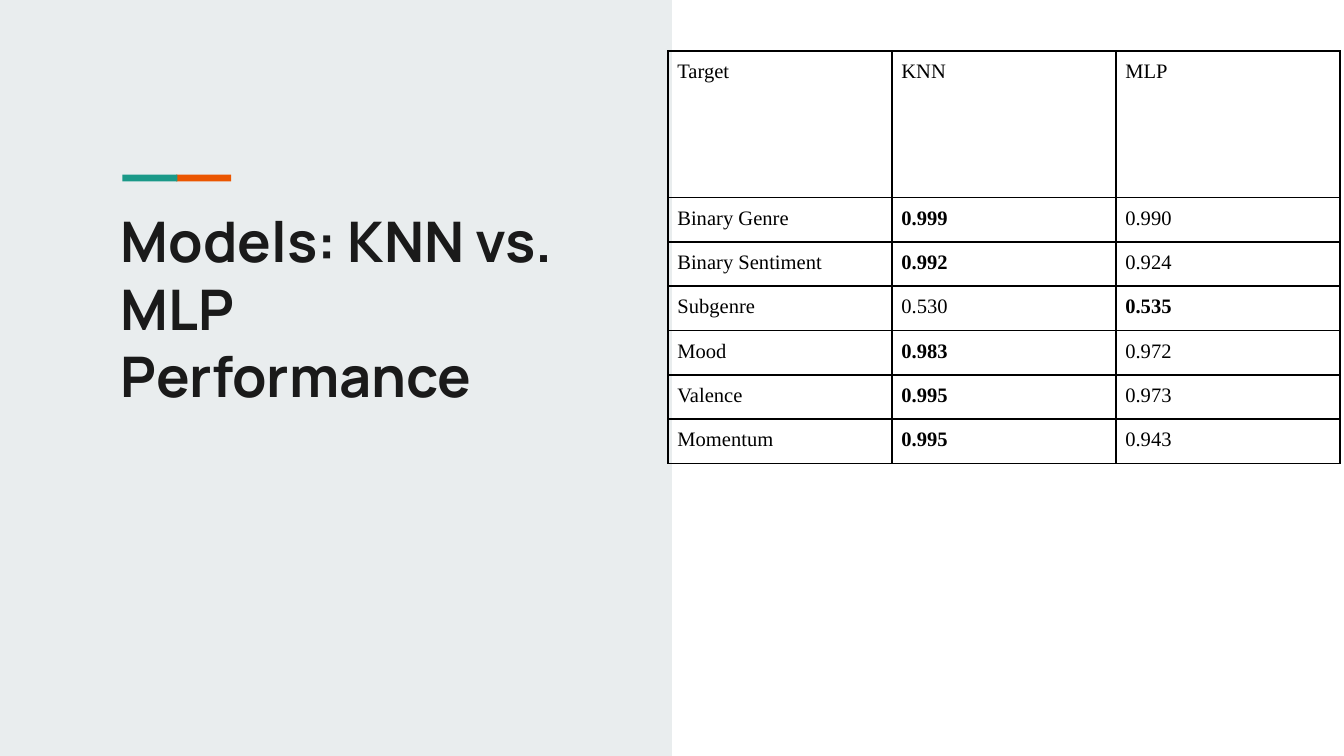
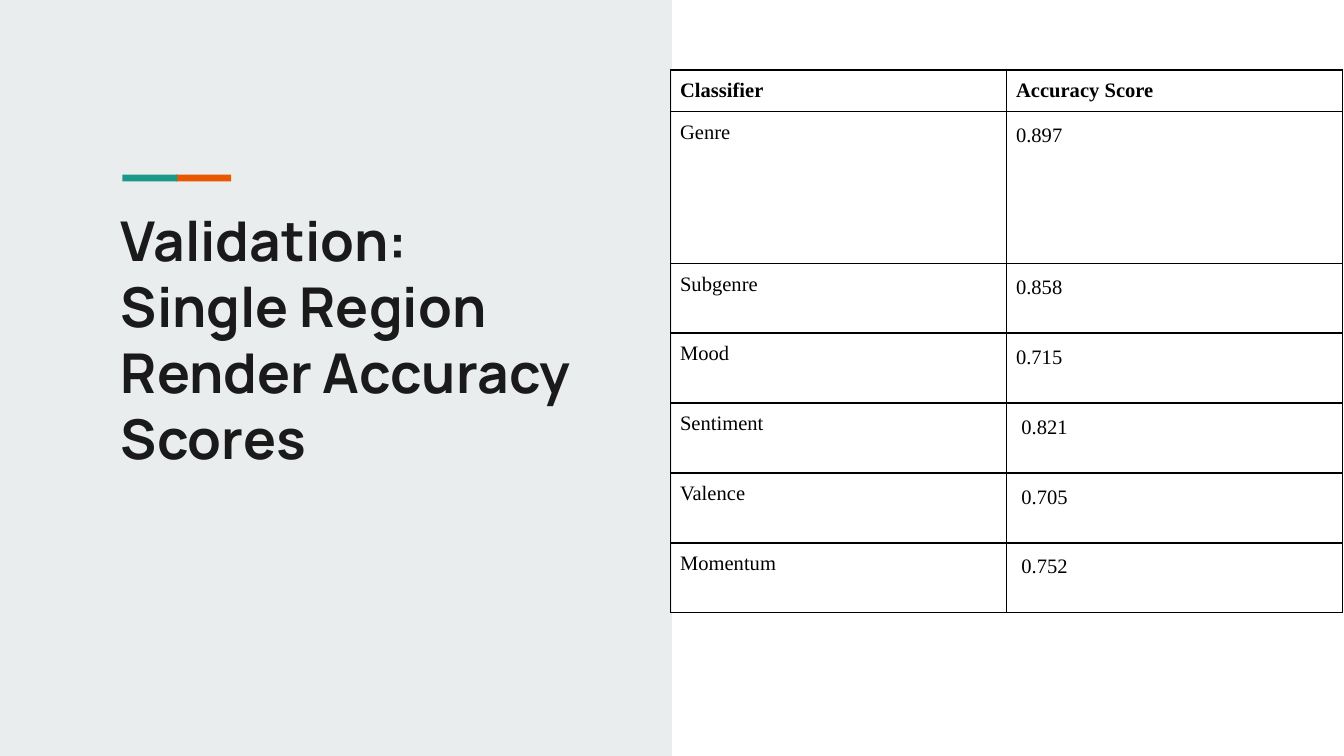
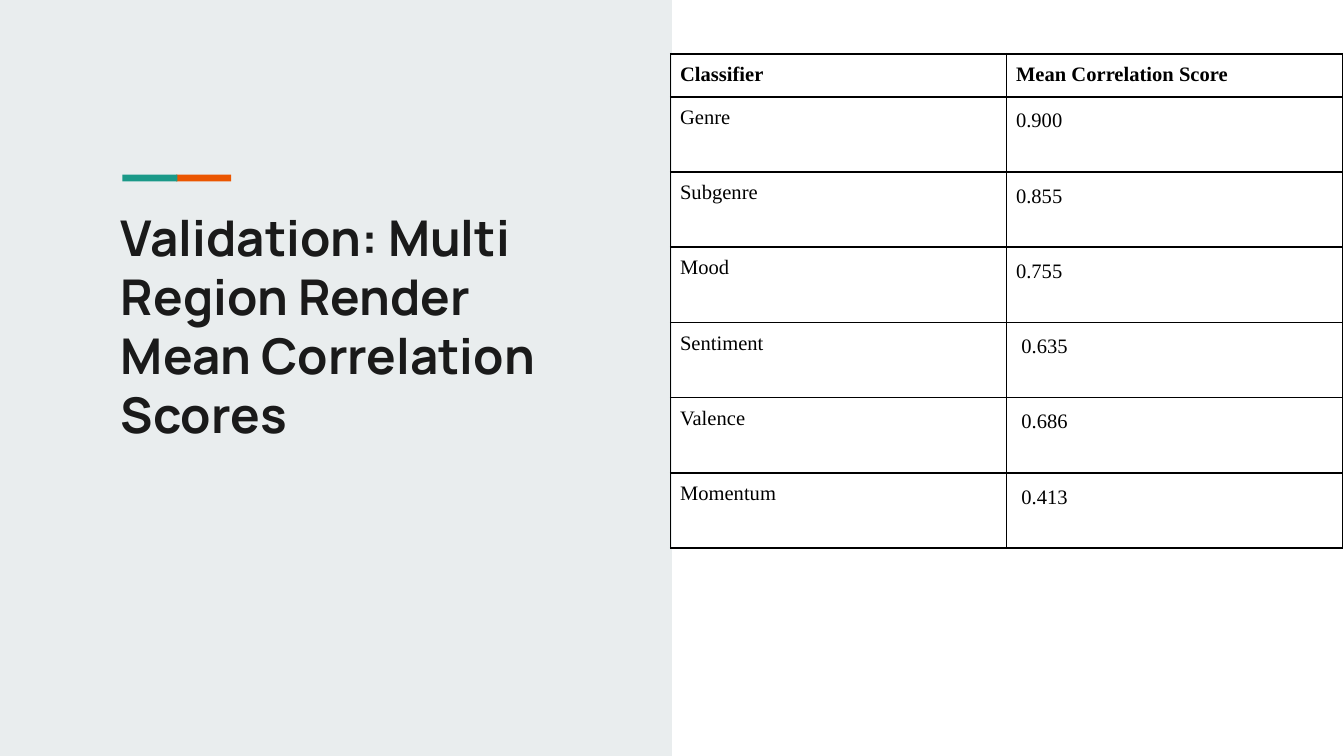
import pptx
import pptx.dml.color
import pptx.enum.shapes
import pptx.enum.text
import pptx.oxml
import pptx.oxml.ns
import pptx.util

Inches, Pt = pptx.util.Inches, pptx.util.Pt
RGBColor = pptx.dml.color.RGBColor
PP_ALIGN = pptx.enum.text.PP_ALIGN
LEFT, JUSTIFY = PP_ALIGN.LEFT, PP_ALIGN.JUSTIFY

PANEL = RGBColor(0xE9, 0xED, 0xEE)
TEAL = RGBColor(0x1A, 0x99, 0x88)
ORANGE = RGBColor(0xEB, 0x56, 0x00)
INK = RGBColor(0x1A, 0x1A, 0x1A)
BLACK = RGBColor(0, 0, 0)

SLIDE_W = 10
SLIDE_H = SLIDE_W * 9 / 16
BACKDROP = [
    (PANEL, (0, 0, SLIDE_W / 2, SLIDE_H)),
    (ORANGE, (1.31, 1.3, 0.41, 0.05)),
    (TEAL, (0.91, 1.3, 0.41, 0.05)),
]
TITLE_BOX = (0.8, 1.44, 3.61, 1.95)
TITLE_FONT = {"name": "Manrope", "bold": True}
CELL_FONT = {"name": "Times New Roman", "size": Pt(11)}
TABLE_WIDTH = 5
CELL_MARGIN = 0.07
SPACE_INDENT = 0.04

SLIDES = [
    {
        "title": "Models: KNN vs. MLP Performance", "size": 30,
        "at": (4.97, 0.38), "heights": [1.09] + [0.33] * 6,
        "rows": [
            ("Target", "KNN", "MLP"),
            ("Binary Genre", "0.999", "0.990"),
            ("Binary Sentiment", "0.992", "0.924"),
            ("Subgenre", "0.530", "0.535"),
            ("Mood", "0.983", "0.972"),
            ("Valence", "0.995", "0.973"),
            ("Momentum", "0.995", "0.943"),
        ],
        "compares": True,
    },
    {
        "title": "Validation: Single Region Render Accuracy Scores", "size": 29.4,
        "at": (4.99, 0.52), "heights": [0.29, 1.13] + [0.52] * 5,
        "rows": [
            ("Classifier", "Accuracy Score"),
            ("Genre", "0.897"),
            ("Subgenre", "0.858"),
            ("Mood", "0.715"),
            ("Sentiment", "0.821"),
            ("Valence", "0.705"),
            ("Momentum", "0.752"),
        ],
        "compares": False,
    },
    {
        "title": "Validation: Multi Region Render Mean Correlation Scores", "size": 26.4,
        "at": (4.99, 0.4), "heights": [0.32] + [0.56] * 6,
        "rows": [
            ("Classifier", "Mean Correlation Score"),
            ("Genre", "0.900"),
            ("Subgenre", "0.855"),
            ("Mood", "0.755"),
            ("Sentiment", "0.635"),
            ("Valence", "0.686"),
            ("Momentum", "0.413"),
        ],
        "compares": False,
    },
]


def inches(values):
    return [Inches(v) for v in values]


def set_all(target, values):
    for name, value in values.items():
        setattr(target, name, value)


def style_font(font, values, color):
    set_all(font, values)
    font.color.rgb = color


def add_backdrop(layout, s):
    """Build the shared shapes on a slide, then move them behind the layout's placeholders."""
    for i, (color, box) in enumerate(BACKDROP):
        sp = s.shapes.add_shape(pptx.enum.shapes.MSO_SHAPE.RECTANGLE, *inches(box))
        sp.shadow.inherit = False
        sp.fill.solid()
        sp.fill.fore_color.rgb = color
        sp.line.fill.background()
        layout.shapes.element.insert(2 + i, sp.element)


def set_title(s, text, size):
    sp = s.shapes.title
    set_all(sp, dict(zip(("left", "top", "width", "height"), inches(TITLE_BOX))))
    tf = sp.text_frame
    margins = ("margin_left", "margin_right", "margin_top", "margin_bottom")
    set_all(tf, dict.fromkeys(margins, Inches(0.1)))
    set_all(tf, {"text": text, "word_wrap": True,
                 "auto_size": pptx.enum.text.MSO_AUTO_SIZE.NONE,
                 "vertical_anchor": pptx.enum.text.MSO_ANCHOR.TOP})
    p = tf.paragraphs[0]
    p.alignment = LEFT
    style_font(p.runs[0].font, {**TITLE_FONT, "size": Pt(size)}, INK)


def add_borders(cell):
    tcPr = cell._tc.get_or_add_tcPr()
    for side in "LRTB":
        tcPr.append(pptx.oxml.parse_xml(
            f'<a:ln{side} {pptx.oxml.ns.nsdecls("a")} w="12700"><a:solidFill>'
            f'<a:srgbClr val="{BLACK}"/></a:solidFill></a:ln{side}>'))


def fill_cell(cell, text, bold, align, spacing, indent):
    margins = ("margin_right", "margin_top", "margin_bottom")
    set_all(cell, dict.fromkeys(margins, Inches(CELL_MARGIN)))
    cell.margin_left = Inches(CELL_MARGIN + indent)
    add_borders(cell)
    cell.fill.background()
    cell.text = text
    p = cell.text_frame.paragraphs[0]
    set_all(p, {"alignment": align, "line_spacing": spacing})
    style_font(p.runs[0].font, {**CELL_FONT, "bold": bold}, BLACK)


def add_scores(s, at, heights, rows, compares):
    cols = len(rows[0])
    box = inches((*at, TABLE_WIDTH, sum(heights)))
    table = s.shapes.add_table(len(rows), cols, *box).table
    set_all(table, {"first_row": False, "horz_banding": False})
    for col in table.columns:
        col.width = Inches(TABLE_WIDTH / cols)
    for r, (height, row) in enumerate(zip(heights, rows)):
        table.rows[r].height = Inches(height)
        for c, text in enumerate(row):
            score = r > 0 and c > 0
            if compares:
                bold = score and text == max(row[1:])
                align, spacing, indent = JUSTIFY, None, 0
            else:
                bold = r == 0
                align, spacing = (JUSTIFY, 1.15) if score else (LEFT, None)
                indent = SPACE_INDENT if score and r > 3 else 0
            fill_cell(table.cell(r, c), text, bold, align, spacing, indent)


def main():
    prs = pptx.Presentation()
    prs.slide_width, prs.slide_height = inches((SLIDE_W, SLIDE_H))
    layout = prs.slide_layouts[5]
    for i, page in enumerate(SLIDES):
        s = prs.slides.add_slide(layout)
        if i == 0:
            add_backdrop(layout, s)
        set_title(s, page["title"], page["size"])
        add_scores(s, page["at"], page["heights"], page["rows"], page["compares"])
    prs.save("out.pptx")


if __name__ == "__main__":
    main()
